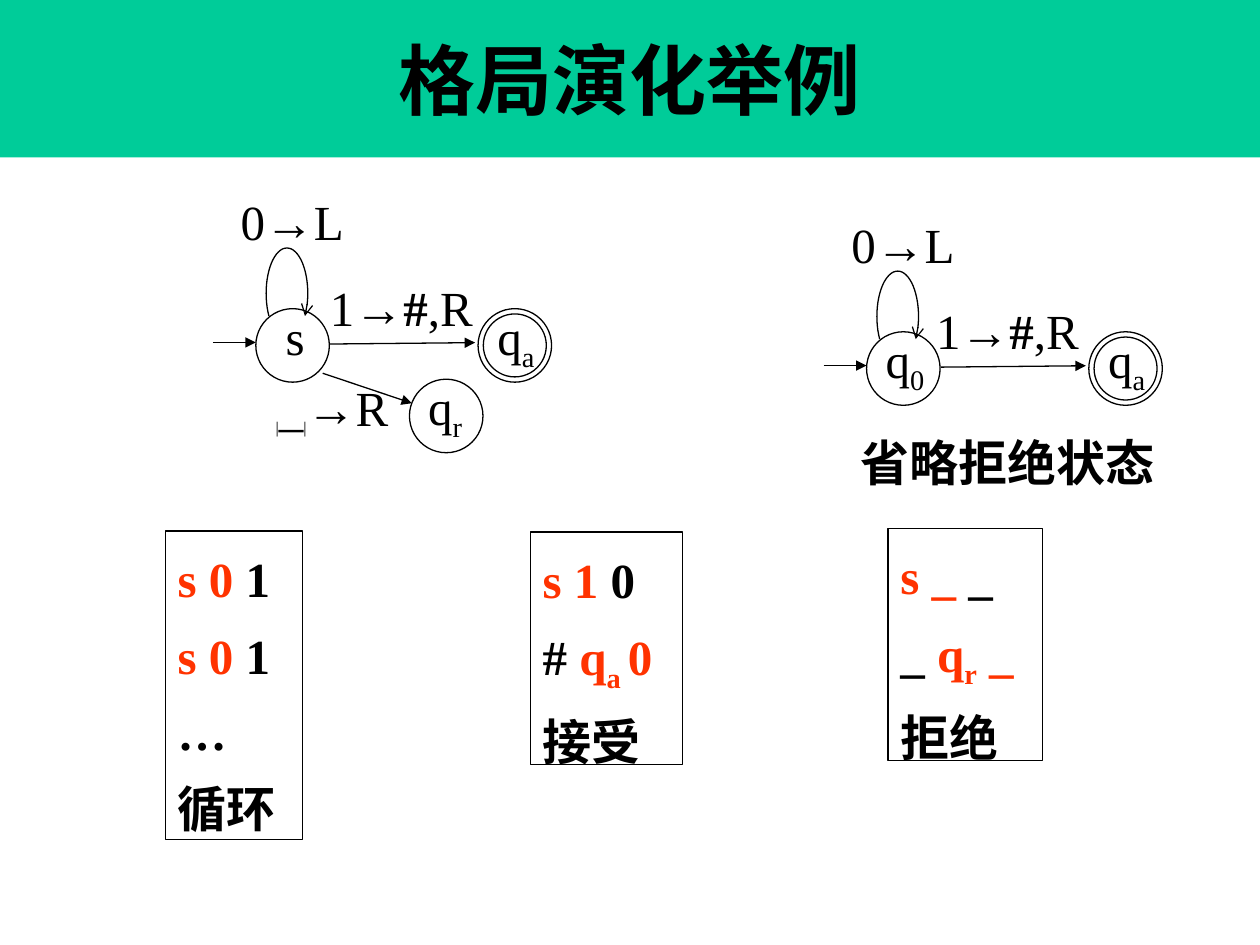
from dataclasses import dataclass
from math import cos, radians, sin
from typing import Any

from lxml.etree import SubElement
from pptx import Presentation
from pptx.dml.color import RGBColor
from pptx.enum.shapes import MSO_CONNECTOR, MSO_SHAPE
from pptx.enum.text import MSO_ANCHOR, PP_ALIGN
from pptx.oxml.ns import qn
from pptx.util import Pt

GREEN = RGBColor(0x00, 0xCC, 0x99)
BLACK = RGBColor(0x00, 0x00, 0x00)
RED = RGBColor(0xFF, 0x33, 0x00)
FONT_NAME = "Times New Roman"
LABEL_HEIGHT = 41
STATE_SIZE = 42


@dataclass(frozen=True)
class Run:
    """A stretch of text with one format."""

    text: str
    color: RGBColor = BLACK
    bold: bool = False
    subscript: bool = False
    size: float = 28


@dataclass(frozen=True)
class Machine:
    """A state diagram placed by the corner of its start state."""

    left: float
    top: float
    start: tuple[Run, ...]
    start_alignment: PP_ALIGN
    write_label_left: float
    rejects: bool


@dataclass(frozen=True)
class Trace:
    """A box that lists successive configurations."""

    left: float
    top: float
    width: float
    height: float
    lines: tuple[tuple[Run, ...], ...]


def red(text: str, subscript: bool = False) -> Run:
    """Return a bold red run."""
    return Run(text, RED, True, subscript)


def black(text: str) -> Run:
    """Return a bold black run."""
    return Run(text, bold=True)


MACHINES = (
    Machine(146.2, 176.4, (Run("s"),), PP_ALIGN.CENTER, 35.3, True),
    Machine(495.2, 189.6, (Run("q"), Run("0", subscript=True)), PP_ALIGN.LEFT, 32.6, False),
)
TRACES = (
    Trace(94.4, 303.5, 78.5, 176.4, (
        (red("s 0"), black(" 1")),
        (red("s 0"), black(" 1")),
        (black("…"),),
        (black("循环"),),
    )),
    Trace(303, 304, 87.1, 132.8, (
        (red("s 1"), black(" 0")),
        (black("# "), red("q"), red("a ", True), red("0")),
        (black("接受"),),
    )),
    Trace(507.4, 302, 88.4, 132.4, (
        (red("s _"), black(" _")),
        (black("_ "), red("q"), red("r", True), red(" _")),
        (black("拒绝"),),
    )),
)


def apply_format(target: Any, values: dict[str, Any]) -> None:
    """Set every attribute named in values."""
    for name, value in values.items():
        setattr(target, name, value)


def write_runs(paragraph: Any, runs: tuple[Run, ...]) -> None:
    """Add formatted runs to a paragraph."""
    for item in runs:
        run = paragraph.add_run()
        run.text = item.text
        apply_format(run.font, {"name": FONT_NAME, "size": Pt(item.size), "bold": item.bold})
        run.font.color.rgb = item.color
        if item.subscript:
            run.font._element.set("baseline", "-25000")


def add_label(shapes: Any, left: float, top: float, width: float, runs: tuple[Run, ...],
              alignment: PP_ALIGN = PP_ALIGN.LEFT) -> None:
    """Add a one-line text box."""
    label = shapes.add_textbox(Pt(left), Pt(top), Pt(width), Pt(LABEL_HEIGHT))
    label.text_frame.word_wrap = True
    paragraph = label.text_frame.paragraphs[0]
    paragraph.alignment = alignment
    write_runs(paragraph, runs)


def style_outline(shape: Any, arrow: str = "") -> None:
    """Give a thin black line, with an arrowhead if named."""
    shape.line.color.rgb = BLACK
    shape.line.width = Pt(0.75)
    if arrow:
        SubElement(shape.line._get_or_add_ln(), qn("a:tailEnd"), type=arrow)


def add_outline(shapes: Any, kind: MSO_SHAPE, left: float, top: float,
                width: float, height: float) -> Any:
    """Add an unfilled preset shape."""
    shape = shapes.add_shape(kind, Pt(left), Pt(top), Pt(width), Pt(height))
    shape.shadow.inherit = False
    shape.fill.background()
    style_outline(shape)
    return shape


def add_state(shapes: Any, left: float, top: float, size: float = STATE_SIZE) -> None:
    """Add a state circle."""
    add_outline(shapes, MSO_SHAPE.OVAL, left, top, size, size)


def add_arrow(shapes: Any, x1: float, y1: float, x2: float, y2: float) -> None:
    """Add a straight transition arrow."""
    arrow = shapes.add_connector(MSO_CONNECTOR.STRAIGHT, Pt(x1), Pt(y1), Pt(x2), Pt(y2))
    style_outline(arrow, "triangle")
    SubElement(arrow._element.spPr, qn("a:effectLst"))


def add_loop(shapes: Any, center_x: float, center_y: float) -> None:
    """Add an open elliptical self-transition."""
    points = [
        (Pt(center_x + 11.9 * cos(radians(angle))), Pt(center_y + 25.9 * sin(radians(angle))))
        for angle in range(150, 391, 6)
    ]
    builder = shapes.build_freeform(*points[0])
    builder.add_line_segments(points[1:], close=False)
    loop = builder.convert_to_shape()
    loop.shadow.inherit = False
    loop.fill.background()
    style_outline(loop, "arrow")


def draw_machine(slide: Any, machine: Machine) -> None:
    """Draw one state diagram as a group."""
    shapes = slide.shapes.add_group_shape().shapes
    x, y = machine.left, machine.top
    add_state(shapes, x, y)
    add_label(shapes, x + 3.8, y - 5, 42, machine.start, machine.start_alignment) \
        if machine.start_alignment == PP_ALIGN.LEFT else \
        add_label(shapes, x + 3.8, y - 5, 37.4, machine.start, machine.start_alignment)
    add_state(shapes, x + 127, y)
    add_state(shapes, x + 130, y + 3, STATE_SIZE - 6)
    add_label(shapes, x + 131, y - 5, 42, (Run("q"), Run("a", subscript=True)))
    add_arrow(shapes, x - 24.5, y + 19.3, x, y + 19.3)
    add_arrow(shapes, x + 42.5, y + 20.2, x + 125.3, y + 19.4)
    add_loop(shapes, x + 17.8, y - 8.8)
    add_label(shapes, x - 15.8, y - 70.6, 80, (Run("0→L"),))
    add_label(shapes, x + machine.write_label_left, y - 21.6, 103.7,
              (Run("1→"), black("#"), Run(",R")))
    if machine.rejects:
        add_state(shapes, x + 87.8, y + 40.3)
        add_label(shapes, x + 91.4, y + 35.3, 39.6, (Run("q"), Run("r", subscript=True)))
        add_arrow(shapes, x + 38.2, y + 36.9, x + 89.2, y + 54)
        bar = Run("|", subscript=True, size=16)
        add_label(shapes, x + 4.3, y + 36, 86.4, (bar, Run("_"), bar, Run("→R")))


def draw_trace(slide: Any, trace: Trace) -> None:
    """Draw one box of configurations."""
    box = add_outline(slide.shapes, MSO_SHAPE.RECTANGLE, trace.left, trace.top,
                      trace.width, trace.height)
    frame = box.text_frame
    apply_format(frame, {"word_wrap": True, "vertical_anchor": MSO_ANCHOR.TOP,
                         "margin_top": Pt(6.6)})
    for index, runs in enumerate(trace.lines):
        paragraph = frame.add_paragraph() if index else frame.paragraphs[0]
        apply_format(paragraph, {"alignment": PP_ALIGN.LEFT, "line_spacing": 1.1,
                                 "space_before": Pt(3.4 if index else 0),
                                 "space_after": Pt(3.4)})
        write_runs(paragraph, runs)


def draw_title(slide: Any) -> None:
    """Draw the title band."""
    band = slide.shapes.add_shape(MSO_SHAPE.RECTANGLE, Pt(0), Pt(0), Pt(720), Pt(90))
    band.shadow.inherit = False
    band.fill.solid()
    band.fill.fore_color.rgb = GREEN
    band.line.fill.background()
    band.text_frame.vertical_anchor = MSO_ANCHOR.MIDDLE
    paragraph = band.text_frame.paragraphs[0]
    paragraph.alignment = PP_ALIGN.CENTER
    write_runs(paragraph, (Run("格局演化举例", bold=True, size=44),))


def main() -> None:
    """Build and save the slide."""
    presentation = Presentation()
    apply_format(presentation, {"slide_width": Pt(720), "slide_height": Pt(540)})
    slide = presentation.slides.add_slide(presentation.slide_layouts[6])
    draw_title(slide)
    for machine in MACHINES:
        draw_machine(slide, machine)
    for trace in TRACES:
        draw_trace(slide, trace)
    add_label(slide.shapes, 484.6, 243.5, 185, (black("省略拒绝状态"),))
    presentation.save("out.pptx")


if __name__ == "__main__":
    main()
